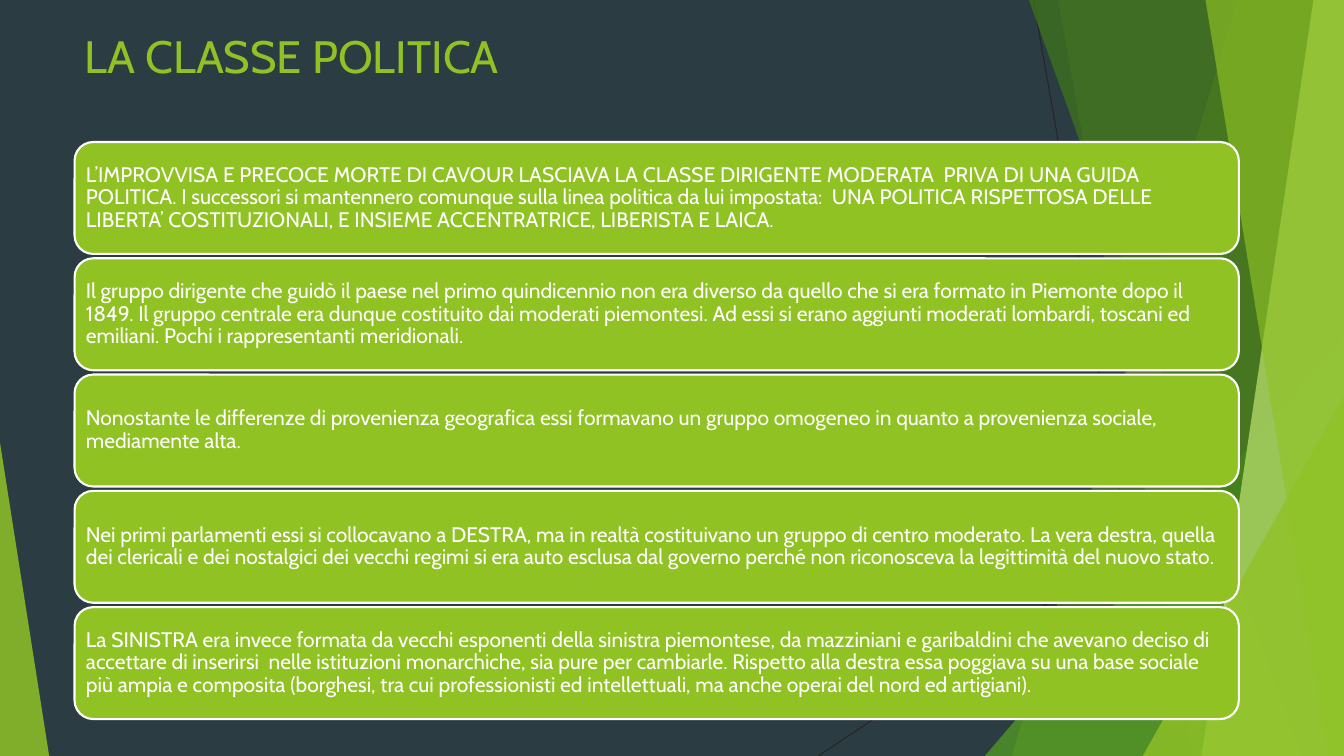
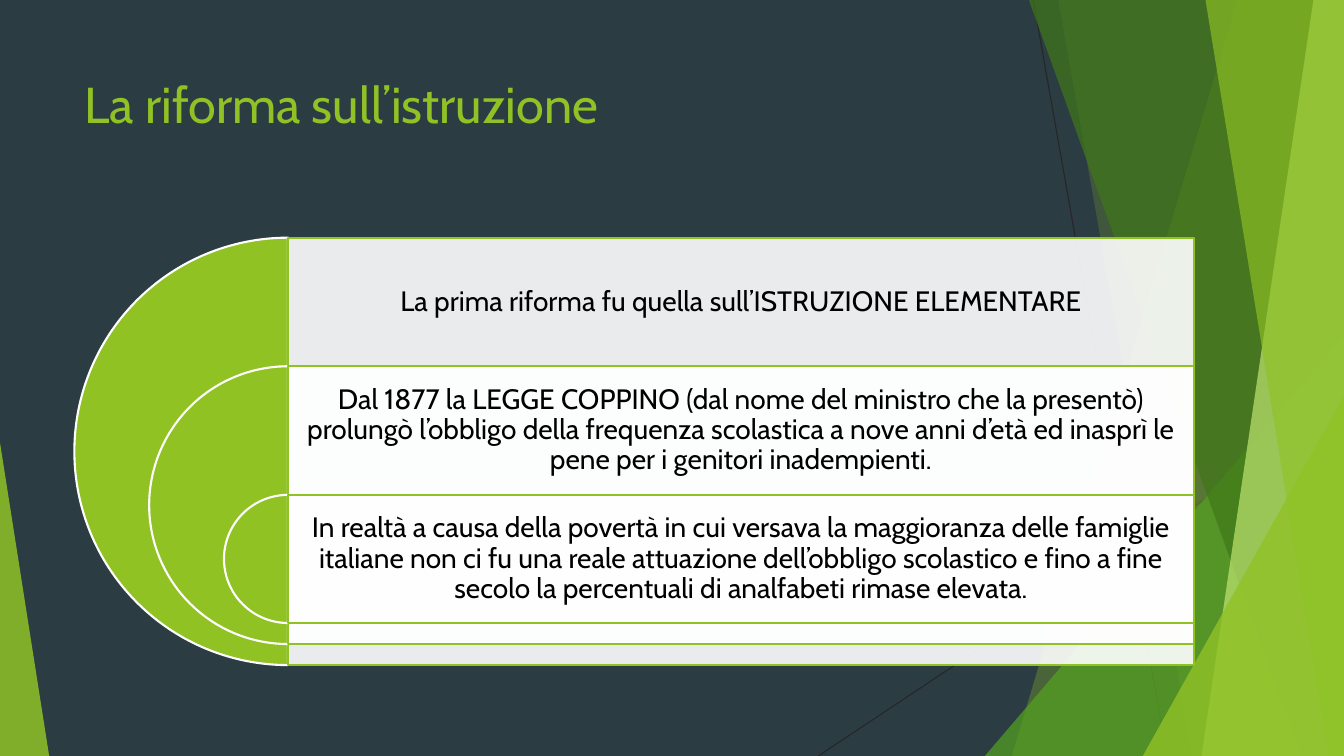
from lxml import etree
from pptx import Presentation
from pptx.dml.color import RGBColor
from pptx.enum.shapes import MSO_CONNECTOR, MSO_SHAPE
from pptx.enum.text import MSO_ANCHOR, MSO_AUTO_SIZE, PP_ALIGN
from pptx.oxml.ns import qn
from pptx.util import Cm, Pt

LEFT, CENTER = PP_ALIGN.LEFT, PP_ALIGN.CENTER
TOP, MIDDLE = MSO_ANCHOR.TOP, MSO_ANCHOR.MIDDLE
TRIANGLE, PIE = MSO_SHAPE.ISOSCELES_TRIANGLE, MSO_SHAPE.PIE
RECT, ROUNDED = MSO_SHAPE.RECTANGLE, MSO_SHAPE.ROUNDED_RECTANGLE

FONT = "Cabin"
COLORS = {
    "night": "2C3C43", "lime": "90C226", "box": "90C223", "green": "54A021",
    "forest": "3F7818", "pale": "BFE471", "hairline": "262626",
    "white": "FFFFFF", "black": "000000",
}

# Lengths in centimetres
W, H = 33.87, 19.05
MARGIN = 1.88
TITLE_W = 23.88

POLITICS_TITLE = "LA CLASSE POLITICA"
POLITICS = [
    "L’IMPROVVISA E PRECOCE MORTE DI CAVOUR LASCIAVA LA CLASSE DIRIGENTE MODERATA  PRIVA DI UNA "
    "GUIDA POLITICA. I successori si mantennero comunque sulla linea politica da lui impostata:  "
    "UNA POLITICA RISPETTOSA DELLE LIBERTA’ COSTITUZIONALI, E INSIEME ACCENTRATRICE, LIBERISTA E "
    "LAICA.",
    "Il gruppo dirigente che guidò il paese nel primo quindicennio non era diverso da quello che "
    "si era formato in Piemonte dopo il 1849. Il gruppo centrale era dunque costituito dai "
    "moderati piemontesi. Ad essi si erano aggiunti moderati lombardi, toscani ed emiliani. "
    "Pochi i rappresentanti meridionali.",
    "Nonostante le differenze di provenienza geografica essi formavano un gruppo omogeneo in "
    "quanto a provenienza sociale, mediamente alta.",
    "Nei primi parlamenti essi si collocavano a DESTRA, ma in realtà costituivano un gruppo di "
    "centro moderato. La vera destra, quella dei clericali e dei nostalgici dei vecchi regimi si "
    "era auto esclusa dal governo perché non riconosceva la legittimità del nuovo stato.",
    "La SINISTRA era invece formata da vecchi esponenti della sinistra piemontese, da mazziniani "
    "e garibaldini che avevano deciso di accettare di inserirsi  nelle istituzioni monarchiche, "
    "sia pure per cambiarle. Rispetto alla destra essa poggiava su una base sociale più ampia e "
    "composita (borghesi, tra cui professionisti ed intellettuali, ma anche operai del nord ed "
    "artigiani).",
]

SCHOOL_TITLE = "La riforma sull’istruzione"
SCHOOL = [
    "La prima riforma fu quella sull’ISTRUZIONE ELEMENTARE",
    "Dal 1877 la LEGGE COPPINO (dal nome del ministro che la presentò) prolungò l’obbligo della "
    "frequenza scolastica a nove anni d’età ed inasprì le pene per i genitori inadempienti.",
    "In realtà a causa della povertà in cui versava la maggioranza delle famiglie italiane non ci "
    "fu una reale attuazione dell’obbligo scolastico e fino a fine secolo la percentuali di "
    "analfabeti rimase elevata.",
]

HAIRLINES = [(26.04, 0, 29.41, H), (W, 10.24, 20.62, H)]
# Bands reach the right edge: top x, bottom x, colour, opacity
BANDS_BACK = [(31.19, 25.5, "lime", 30), (26.67, 30.05, "lime", 20)]
BANDS_FRONT = [(25.93, 32.79, "forest", 70), (33.1, 30.28, "pale", 70), (30.38, 33.48, "lime", 65)]
# Triangles stand on the bottom edge: left, top, right, apex, colour, opacity
TRIANGLE_BACK = (24.82, 8.46, W, 1, "green", 72)
TRIANGLES_FRONT = [(28.8, 9.98, W, 1, "lime", 80), (0, 11.15, 1.24, 0, "lime", 85)]


def rgb(name):
    return RGBColor.from_string(COLORS[name])


def paint(sp, fill, opacity=100, line=None):
    sp.shadow.inherit = False
    sp.fill.solid()
    sp.fill.fore_color.rgb = rgb(fill)
    if opacity < 100:
        clr = sp.element.spPr.find(".//" + qn("a:srgbClr"))
        etree.SubElement(clr, qn("a:alpha"), val=str(opacity * 1000))
    if line:
        sp.line.color.rgb = rgb(line)
        sp.line.width = Pt(1.5)
    else:
        sp.line.fill.background()
    return sp


def add_shape(slide, kind, x, y, w, h, fill, adj=(), **look):
    sp = slide.shapes.add_shape(kind, Cm(x), Cm(y), Cm(w), Cm(h))
    for i, value in enumerate(adj):
        sp.adjustments[i] = value
    return paint(sp, fill, **look)


def write(sp, text, size, color, align=LEFT, anchor=MIDDLE, spacing=0.9,
          insets=(0.25, 0.13, 0.25, 0.13)):
    """Insets are left, top, right, bottom."""
    tf = sp.text_frame
    tf.word_wrap = True
    tf.auto_size = MSO_AUTO_SIZE.NONE
    tf.vertical_anchor = anchor
    tf.margin_left, tf.margin_top, tf.margin_right, tf.margin_bottom = map(Cm, insets)
    p = tf.paragraphs[0]
    p.alignment = align
    p.line_spacing = spacing
    r = p.add_run()
    r.text = text
    r.font.name = FONT
    r.font.size = Pt(size)
    r.font.color.rgb = rgb(color)


def add_hairline(slide, x1, y1, x2, y2):
    line = slide.shapes.add_connector(MSO_CONNECTOR.STRAIGHT, Cm(x1), Cm(y1), Cm(x2), Cm(y2))
    line.line.color.rgb = rgb("hairline")
    line.line.width = Pt(0.75)
    etree.SubElement(line.element.spPr, qn("a:effectLst"))
    return line


def add_band(slide, top_x, bottom_x, color, opacity):
    outline = slide.shapes.build_freeform(Cm(top_x), 0)
    outline.add_line_segments([(Cm(W), 0), (Cm(W), Cm(H)), (Cm(bottom_x), Cm(H))])
    return paint(outline.convert_to_shape(), color, opacity)


def add_triangle(slide, left, top, right, apex, color, opacity):
    return add_shape(slide, TRIANGLE, left, top, right - left, H - top, color,
                     adj=[apex], opacity=opacity)


def decorate(layout, slide):
    """Draw the shared facets on a slide, then move them to its layout."""
    facets = [add_hairline(slide, *line) for line in HAIRLINES]
    facets += [add_band(slide, *band) for band in BANDS_BACK]
    facets.append(add_triangle(slide, *TRIANGLE_BACK))
    facets += [add_band(slide, *band) for band in BANDS_FRONT]
    facets += [add_triangle(slide, *triangle) for triangle in TRIANGLES_FRONT]
    for facet in facets:
        layout.shapes.element.append(facet.element)


def add_title(slide, text, top, height, size):
    title = slide.shapes.title
    title.left, title.top, title.width, title.height = map(Cm, (MARGIN, top, TITLE_W, height))
    write(title, text, size, "lime", anchor=TOP, spacing=1)


def build_politics(slide):
    add_title(slide, POLITICS_TITLE, 0.58, 1.68, 32.4)
    top, height, pitch = 3.58, 2.82, 2.93
    for i, text in enumerate(POLITICS):
        sp = add_shape(slide, ROUNDED, MARGIN, top + i * pitch, 29.34, height, "box",
                       adj=[0.167], line="white")
        write(sp, text, 15, "white", insets=(0.15,) * 4)


def build_school(slide):
    add_title(slide, SCHOOL_TITLE, 1.7, 3.66, 36)
    top, row, center, panel_w, pad = 5.99, 3.24, 7.26, 22.83, 0.2
    largest, shrink = 10.77, 3.77
    for i, text in enumerate(SCHOOL):
        y, size = top + i * row, largest - i * shrink
        add_shape(slide, PIE, center - size / 2, y, size, size, "box",
                  adj=[54, 162], line="white")
        panel = add_shape(slide, RECT, center, y, panel_w, size, "white",
                          opacity=90, line="box")
        write(panel, text, 20, "black", align=CENTER,
              insets=(pad, pad, pad, pad + max(size - row, 0)))


def main():
    prs = Presentation()
    prs.slide_width, prs.slide_height = Cm(W), Cm(H)
    background = prs.slide_master.background.fill
    background.solid()
    background.fore_color.rgb = rgb("night")

    layout = prs.slide_layouts[5]
    politics, school = [prs.slides.add_slide(layout) for _ in range(2)]
    decorate(layout, politics)
    build_politics(politics)
    build_school(school)
    prs.save("out.pptx")


if __name__ == "__main__":
    main()
